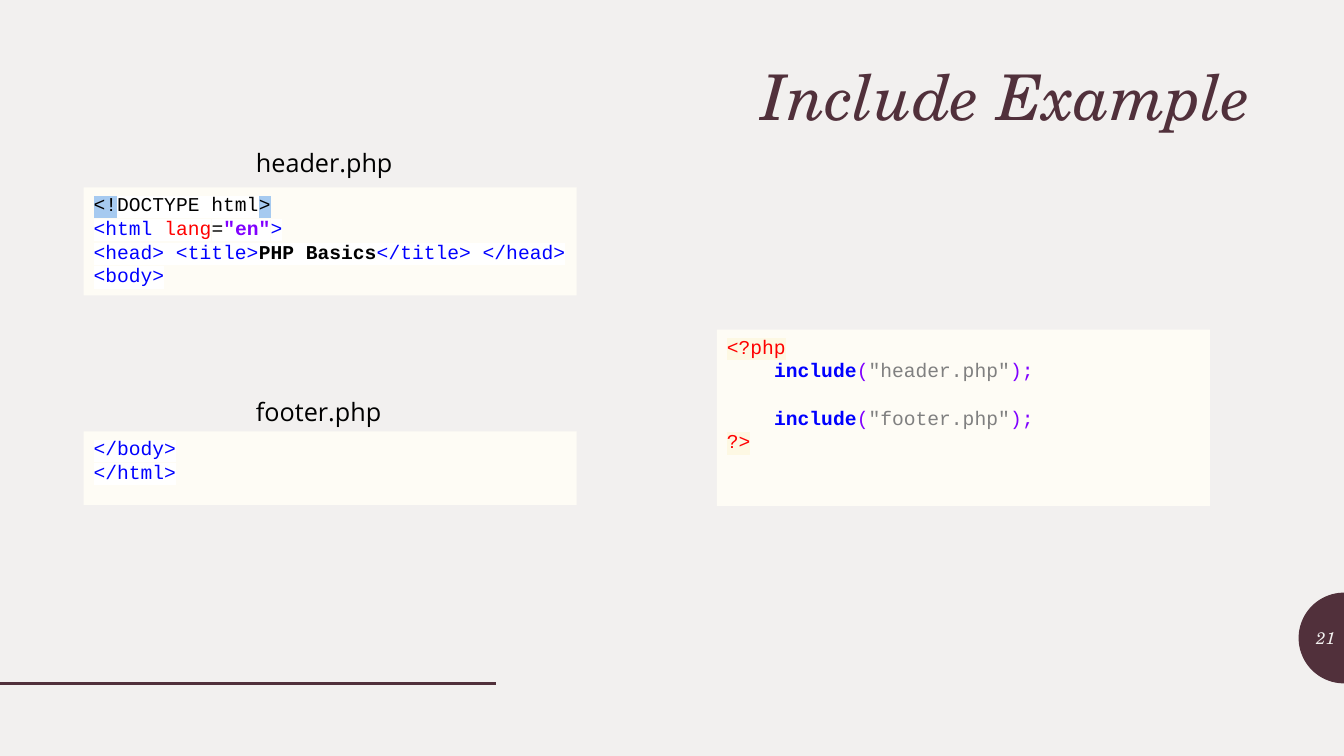
import math
from dataclasses import dataclass

import pptx
import pptx.dml.color
import pptx.enum.shapes
import pptx.enum.text
import pptx.oxml.ns
import pptx.util
from lxml import etree
from pptx.util import Inches

COLORS = {
    "background": "F2F0EF", "plum": "51303B", "panel": "FEFCF5", "black": "000000",
    "white": "FFFFFF", "red": "FF0000", "blue": "0000FF", "violet": "8000FF",
    "gray": "808080", "cream": "FDF8E3", "sky": "A6CAF0",
}
ALIGN = pptx.enum.text.PP_ALIGN
ANCHOR = pptx.enum.text.MSO_ANCHOR
CODE_FONT = {"name": "Courier New", "size": pptx.util.Pt(14)}
LABEL_FONT = {"name": "Open Sans", "size": pptx.util.Pt(18)}
LEFT, PANEL_WIDTH, LABEL_LEFT = 0.83, 4.89, 2.44


@dataclass(frozen=True)
class Run:
    text: str
    color: str
    highlight: str = ""
    bold: bool = False


@dataclass(frozen=True)
class Line:
    runs: list[Run]
    indent: float = 0
    gap: float = 0


@dataclass(frozen=True)
class Panel:
    left: float
    top: float
    height: float
    lines: list[Line]


@dataclass(frozen=True)
class Label:
    text: str
    box: tuple[float, float, float, float]
    font: dict
    color: str = "black"
    align: ALIGN = ALIGN.LEFT
    anchor: ANCHOR = ANCHOR.TOP
    spacing: float = 1.0


def tag(text: str) -> Run:
    return Run(text, "blue", "white")


def include_line(file: str, gap: float = 0) -> Line:
    return Line([Run("include", "blue", bold=True), Run("(", "violet"),
                 Run(f'"{file}"', "gray"), Run(");", "violet")], 0.47, gap)


HEADER_CODE = [
    Line([Run("<!", "black", "sky"), Run("DOCTYPE html", "black", "white"),
          Run(">", "black", "sky")]),
    Line([tag("<html "), Run("lang", "red", "white"), Run("=", "black", "white"),
          Run('"en"', "violet", "white", True), tag(">")]),
    Line([tag("<head> <title>"), Run("PHP Basics", "black", "white", True),
          tag("</title> </head>")]),
    Line([tag("<body>")]),
]
FOOTER_CODE = [Line([tag("</body>")]), Line([tag("</html>")])]
INCLUDE_CODE = [
    Line([Run("<?php", "red", "cream")]),
    include_line("header.php"),
    include_line("footer.php", gap=17),
    Line([Run("?>", "red", "cream")]),
]
PANELS = [
    Panel(7.11, 3.27, 1.75, INCLUDE_CODE),
    Panel(LEFT, 1.86, 1.07, HEADER_CODE),
    Panel(LEFT, 4.28, 0.73, FOOTER_CODE),
]
LABELS = [
    Label("Include Example", (LEFT, 0.61, 11.67, 0.76),
          {"name": "TeX Gyre Schola", "size": pptx.util.Pt(45), "italic": True},
          "plum", ALIGN.RIGHT, ANCHOR.MIDDLE, 0.9),
    Label("21", (12.89, 6.13, 0.45, 0.4),
          {"name": "TeX Gyre Schola", "size": pptx.util.Pt(12), "italic": True},
          "background", ALIGN.RIGHT, ANCHOR.MIDDLE),
    Label("header.php", (LABEL_LEFT, 1.41, 1.67, 0.4), LABEL_FONT),
    Label("footer.php", (LABEL_LEFT, 3.88, 1.67, 0.4), LABEL_FONT),
]


def rgb(name: str) -> pptx.dml.color.RGBColor:
    return pptx.dml.color.RGBColor.from_string(COLORS[name])


def add_run(p, run: Run, font: dict) -> None:
    r = p.add_run()
    r.text = run.text
    for key, value in {**font, "bold": run.bold}.items():
        setattr(r.font, key, value)
    r.font.color.rgb = rgb(run.color)
    if run.highlight:
        qn = pptx.oxml.ns.qn
        highlight = etree.Element(qn("a:highlight"))
        etree.SubElement(highlight, qn("a:srgbClr"), val=COLORS[run.highlight])
        r.font._element.find(qn("a:solidFill")).addnext(highlight)


def fill_plain(shape, color: str) -> None:
    """Give the shape a solid fill with no outline and no shadow."""
    shape.fill.solid()
    shape.fill.fore_color.rgb = rgb(color)
    shape.line.fill.background()
    shape.shadow.inherit = False


def add_panel(s, panel: Panel) -> None:
    box = map(Inches, (panel.left, panel.top, PANEL_WIDTH, panel.height))
    sp = s.shapes.add_shape(pptx.enum.shapes.MSO_SHAPE.RECTANGLE, *box)
    fill_plain(sp, "panel")
    tf = sp.text_frame
    for key, value in {"word_wrap": True, "vertical_anchor": ANCHOR.TOP,
                       "margin_right": 0}.items():
        setattr(tf, key, value)
    for i, line in enumerate(panel.lines):
        p = tf.add_paragraph() if i else tf.paragraphs[0]
        p.alignment = ALIGN.LEFT
        p.space_before = pptx.util.Pt(line.gap)
        p._p.get_or_add_pPr().set("marL", str(Inches(line.indent)))
        for run in line.runs:
            add_run(p, run, CODE_FONT)


def add_label(s, label: Label) -> None:
    tf = s.shapes.add_textbox(*map(Inches, label.box)).text_frame
    tf.word_wrap = True
    tf.vertical_anchor = label.anchor
    p = tf.paragraphs[0]
    p.alignment = label.align
    p.line_spacing = label.spacing
    add_run(p, Run(label.text, label.color), label.font)


def add_half_disc(s, x: float, y: float, radius: float, steps: int = 48) -> None:
    """Draw the left half of a disc centred at x, y."""
    angles = [math.pi * (0.5 + i / steps) for i in range(steps + 1)]
    points = [(Inches(x + radius * math.cos(a)), Inches(y + radius * math.sin(a)))
              for a in angles]
    builder = s.shapes.build_freeform(*points[0])
    builder.add_line_segments(points[1:], close=True)
    fill_plain(builder.convert_to_shape(), "plum")


def add_rule(s, width: float, y: float) -> None:
    line = s.shapes.add_connector(pptx.enum.shapes.MSO_CONNECTOR.STRAIGHT,
                                  0, Inches(y), Inches(width), Inches(y))
    line.line.color.rgb = rgb("plum")
    line.line.width = pptx.util.Pt(2)
    etree.SubElement(line._element.spPr, pptx.oxml.ns.qn("a:effectLst"))


def main() -> None:
    prs = pptx.Presentation()
    prs.slide_width, prs.slide_height = Inches(13.33), Inches(7.5)
    s = prs.slides.add_slide(prs.slide_layouts[6])
    s.background.fill.solid()
    s.background.fill.fore_color.rgb = rgb("background")
    add_half_disc(s, 13.33, 6.33, 0.45)
    add_rule(s, 4.92, 6.78)
    for panel in PANELS:
        add_panel(s, panel)
    for label in LABELS:
        add_label(s, label)
    prs.save("out.pptx")


if __name__ == "__main__":
    main()
